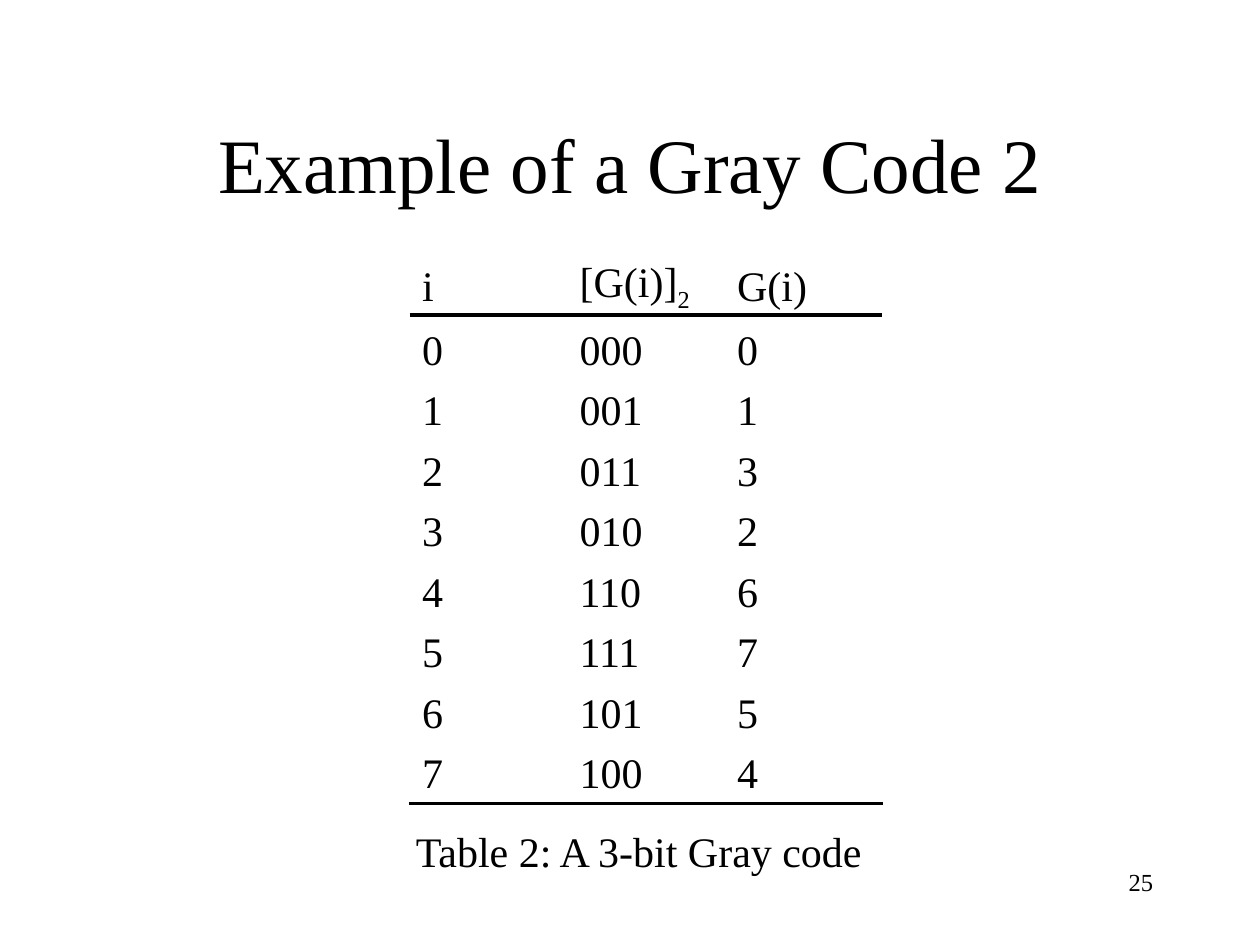
from dataclasses import dataclass

from lxml import etree
from pptx import Presentation
from pptx.dml.color import RGBColor
from pptx.enum.shapes import MSO_CONNECTOR
from pptx.enum.text import MSO_ANCHOR, MSO_AUTO_SIZE, PP_ALIGN
from pptx.oxml.ns import qn
from pptx.util import Inches, Pt

LEFT, CENTER, RIGHT = PP_ALIGN.LEFT, PP_ALIGN.CENTER, PP_ALIGN.RIGHT
MIDDLE = MSO_ANCHOR.MIDDLE
NO_FIT = MSO_AUTO_SIZE.NONE
STRAIGHT = MSO_CONNECTOR.STRAIGHT
TITLE_ONLY = 5


@dataclass(frozen=True)
class Theme:
    font: str = "Times New Roman"
    ink: str = "000000"
    title: int = 44
    body: int = 24
    number: int = 14
    header_rule: float = 2
    bottom_rule: float = 2.25


HEADER = ("i", "[G(i)]", "G(i)")
GRAY_CODES = [(str(i), f"{i ^ i >> 1:03b}", str(i ^ i >> 1)) for i in range(8)]
TABLE_LEFT, TABLE_TOP, COLUMN_WIDTH = 3.25, 2, 1.25
HEADER_HEIGHT, ROW_HEIGHT = 0.51, 0.47
RULE_TOP = 2.5
CELL_FORMAT = {
    "vertical_anchor": MIDDLE,
    "margin_left": Inches(0.1),
    "margin_right": Inches(0.1),
    "margin_top": Inches(0.05),
    "margin_bottom": Inches(0.03),
}


def apply(target, values):
    for name, value in values.items():
        setattr(target, name, value)


class SlideBuilder:
    def __init__(self, page, theme):
        self.page = page
        self.theme = theme

    def fill_frame(self, frame, text, size, align):
        para = frame.paragraphs[0]
        para.alignment = align
        self.add_span(para, text, size)

    def add_span(self, para, text, size):
        span = para.add_run()
        span.text = text
        apply(span.font, {"name": self.theme.font, "size": Pt(size), "bold": False})
        span.font.color.rgb = RGBColor.from_string(self.theme.ink)
        return span

    def title(self, text, left, top, width, height):
        box = self.page.shapes.title
        place = {"left": left, "top": top, "width": width, "height": height}
        apply(box, {name: Inches(value) for name, value in place.items()})
        apply(box.text_frame, {"vertical_anchor": MIDDLE, "word_wrap": True, "auto_size": NO_FIT})
        self.fill_frame(box.text_frame, text, self.theme.title, CENTER)

    def text(self, text, left, top, width, height, size, align, wrap=True):
        box = self.page.shapes.add_textbox(*map(Inches, (left, top, width, height)))
        box.text_frame.word_wrap = wrap
        self.fill_frame(box.text_frame, text, size, align)

    def table(self, rows, left, top, column_width, heights):
        columns = len(rows[0])
        frame = self.page.shapes.add_table(
            len(rows), columns, Inches(left), Inches(top),
            Inches(column_width * columns), Inches(sum(heights)),
        )
        table = frame.table
        apply(table, {"first_row": False, "horz_banding": False})
        for column in table.columns:
            column.width = Inches(column_width)
        for row, height, values in zip(table.rows, heights, rows):
            row.height = Inches(height)
            for cell, value in zip(row.cells, values):
                apply(cell, CELL_FORMAT)
                self.fill_frame(cell.text_frame, value, self.theme.body, LEFT)
        for cell in table.rows[len(rows) - 1].cells:
            self.bottom_border(cell)
        for cell in table.iter_cells():
            cell.fill.background()
        return table

    def bottom_border(self, cell):
        properties = cell._tc.get_or_add_tcPr()
        border = etree.SubElement(properties, qn("a:lnB"), w=str(Pt(self.theme.bottom_rule)))
        fill = etree.SubElement(border, qn("a:solidFill"))
        etree.SubElement(fill, qn("a:srgbClr"), val=self.theme.ink)

    def subscript(self, cell, text):
        span = self.add_span(cell.text_frame.paragraphs[0], text, self.theme.body)
        span.font._element.set("baseline", "-25000")

    def rule(self, left, top, width):
        line = self.page.shapes.add_connector(
            STRAIGHT, Inches(left), Inches(top), Inches(left + width), Inches(top)
        )
        line.line.width = Pt(self.theme.header_rule)
        line.line.color.rgb = RGBColor.from_string(self.theme.ink)
        etree.SubElement(line._element.spPr, qn("a:effectLst"))


def main():
    deck = Presentation()
    apply(deck, {"slide_width": Inches(10), "slide_height": Inches(7.5)})
    page = deck.slides.add_slide(deck.slide_layouts[TITLE_ONLY])
    theme = Theme()
    builder = SlideBuilder(page, theme)

    builder.text("25", 7.17, 6.83, 2.08, 0.5, theme.number, RIGHT)
    builder.title("Example of a Gray Code 2", 0.75, 0.67, 8.5, 1.25)
    heights = [HEADER_HEIGHT] + [ROW_HEIGHT] * len(GRAY_CODES)
    table = builder.table([HEADER, *GRAY_CODES], TABLE_LEFT, TABLE_TOP, COLUMN_WIDTH, heights)
    builder.subscript(table.cell(0, 1), "2")
    builder.text("Table 2: A 3-bit Gray code", 3.17, 6.5, 3.8, 0.5, theme.body, CENTER, wrap=False)
    builder.rule(TABLE_LEFT, RULE_TOP, COLUMN_WIDTH * len(HEADER))

    deck.save("out.pptx")


if __name__ == "__main__":
    main()
